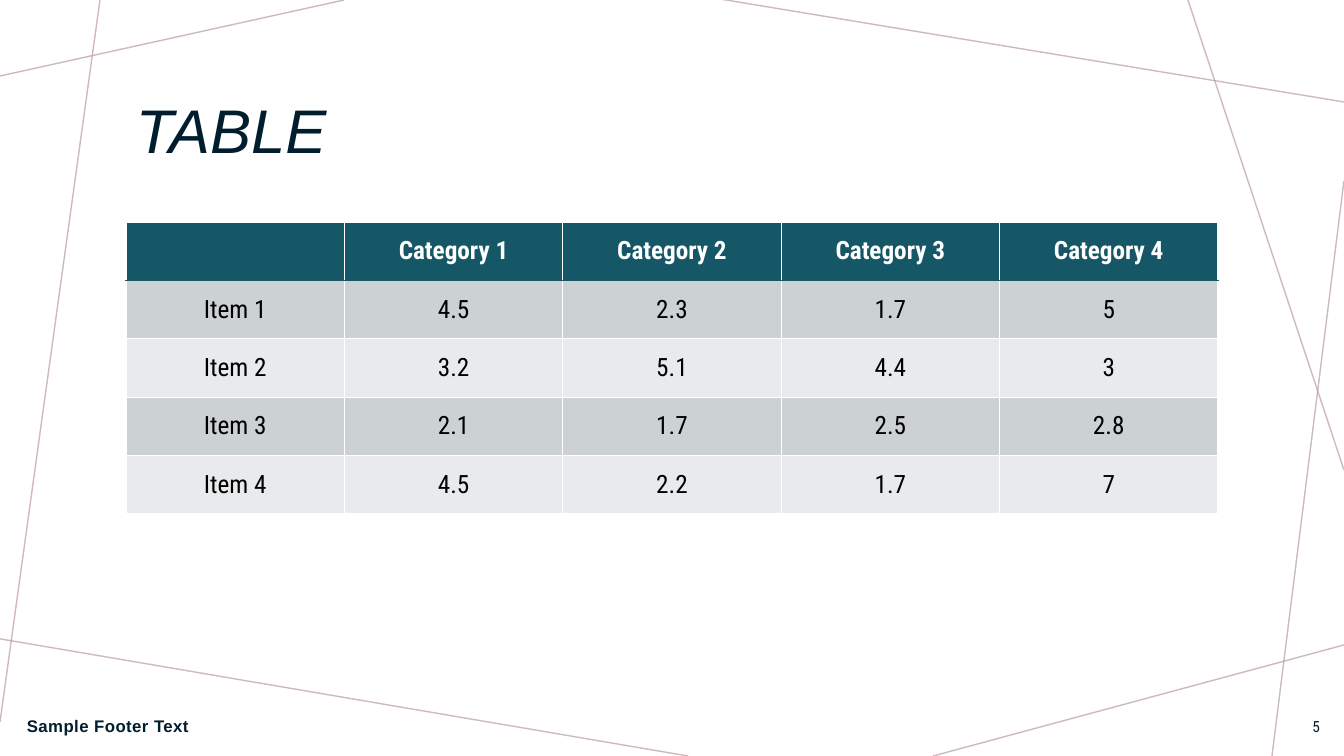
import pptx
import pptx.dml.color
import pptx.enum.shapes
import pptx.enum.text
import pptx.oxml
import pptx.oxml.ns
import pptx.util

SCALE = 914400 / 100.8
COLORS = {
    "ink": "001E2E",
    "strand": "BA9CA0",
    "header": "155767",
    "dark_band": "CCD1D3",
    "light_band": "E8EAEB",
    "white": "FFFFFF",
    "black": "000000",
}
NAMESPACE = pptx.oxml.ns.nsdecls("a")
ALIGN = pptx.enum.text.PP_ALIGN
MIDDLE = pptx.enum.text.MSO_ANCHOR.MIDDLE


def px(length):
    return round(length * SCALE)


def add_span(para, text, font, size, color, bold=False, italic=False):
    span = para.add_run()
    span.text = text
    span.font.name = font
    span.font.size = pptx.util.Pt(size)
    span.font.bold = bold
    span.font.italic = italic
    span.font.color.rgb = pptx.dml.color.RGBColor.from_string(COLORS[color])
    return span


deck = pptx.Presentation()
deck.slide_width = px(1344)
deck.slide_height = px(756)
page = deck.slides.add_slide(deck.slide_layouts[6])

# Crossing background lines: x1, y1, x2, y2
strands = [
    (344, 0, 0, 76),
    (100, 0, 0, 722),
    (688, 756, -5, 638),
    (1344, 645, 933, 756),
    (1344, 181, 1272, 756),
    (1344, 470, 1188, 0),
    (1344, 102, 720, -1),
]
for ends in strands:
    strand = page.shapes.add_connector(
        pptx.enum.shapes.MSO_CONNECTOR.STRAIGHT, *map(px, ends))
    strand.line.width = pptx.util.Pt(1)
    strand.line.color.rgb = pptx.dml.color.RGBColor.from_string(COLORS["strand"])
    color_node = strand.line._ln.find(".//" + pptx.oxml.ns.qn("a:srgbClr"))
    color_node.append(pptx.oxml.parse_xml(f'<a:alpha {NAMESPACE} val="70000"/>'))
    strand._element.spPr.append(pptx.oxml.parse_xml(f"<a:effectLst {NAMESPACE}/>"))

# Title, footer and page number: place, text, font, size, bold, italic, alignment
labels = [
    ((126, 58, 1092, 152), "TABLE", "Arial", 44, False, True, ALIGN.LEFT),
    ((17, 706, 496, 40), "Sample Footer Text", "Arial", 12, True, False, ALIGN.LEFT),
    ((1279, 706, 51, 40), "5", "Roboto Condensed", 11, False, False, ALIGN.RIGHT),
]
for place, text, font, size, bold, italic, alignment in labels:
    box = page.shapes.add_textbox(*map(px, place))
    box.text_frame.word_wrap = True
    box.text_frame.vertical_anchor = MIDDLE
    para = box.text_frame.paragraphs[0]
    para.alignment = alignment
    span = add_span(para, text, font, size, "ink", bold, italic)
    if italic:
        para.line_spacing = 0.9
    if bold:
        span.font._element.set("spc", "30")

rows = [
    ["", "Category 1", "Category 2", "Category 3", "Category 4"],
    ["Item 1", "4.5", "2.3", "1.7", "5"],
    ["Item 2", "3.2", "5.1", "4.4", "3"],
    ["Item 3", "2.1", "1.7", "2.5", "2.8"],
    ["Item 4", "4.5", "2.2", "1.7", "7"],
]
table = page.shapes.add_table(
    len(rows), len(rows[0]), px(126), px(222), px(1092), px(292)).table
for row_index, row in enumerate(rows):
    is_header = row_index == 0
    band = "header" if is_header else "dark_band" if row_index % 2 else "light_band"
    for column_index, text in enumerate(row):
        cell = table.cell(row_index, column_index)
        cell.vertical_anchor = MIDDLE
        para = cell.text_frame.paragraphs[0]
        para.alignment = ALIGN.CENTER
        if text:
            add_span(para, text, "Roboto Condensed", 18,
                     "white" if is_header else "black", bold=is_header)
        for side in "LRTB":
            under_header = (row_index, side) in [(0, "B"), (1, "T")]
            width, color = (0.75, "header") if under_header else (1, "white")
            cell._tc.get_or_add_tcPr().append(pptx.oxml.parse_xml(
                f'<a:ln{side} {NAMESPACE} w="{pptx.util.Pt(width)}"><a:solidFill>'
                f'<a:srgbClr val="{COLORS[color]}"/></a:solidFill></a:ln{side}>'))
        cell.fill.solid()
        cell.fill.fore_color.rgb = pptx.dml.color.RGBColor.from_string(COLORS[band])

deck.save("out.pptx")
